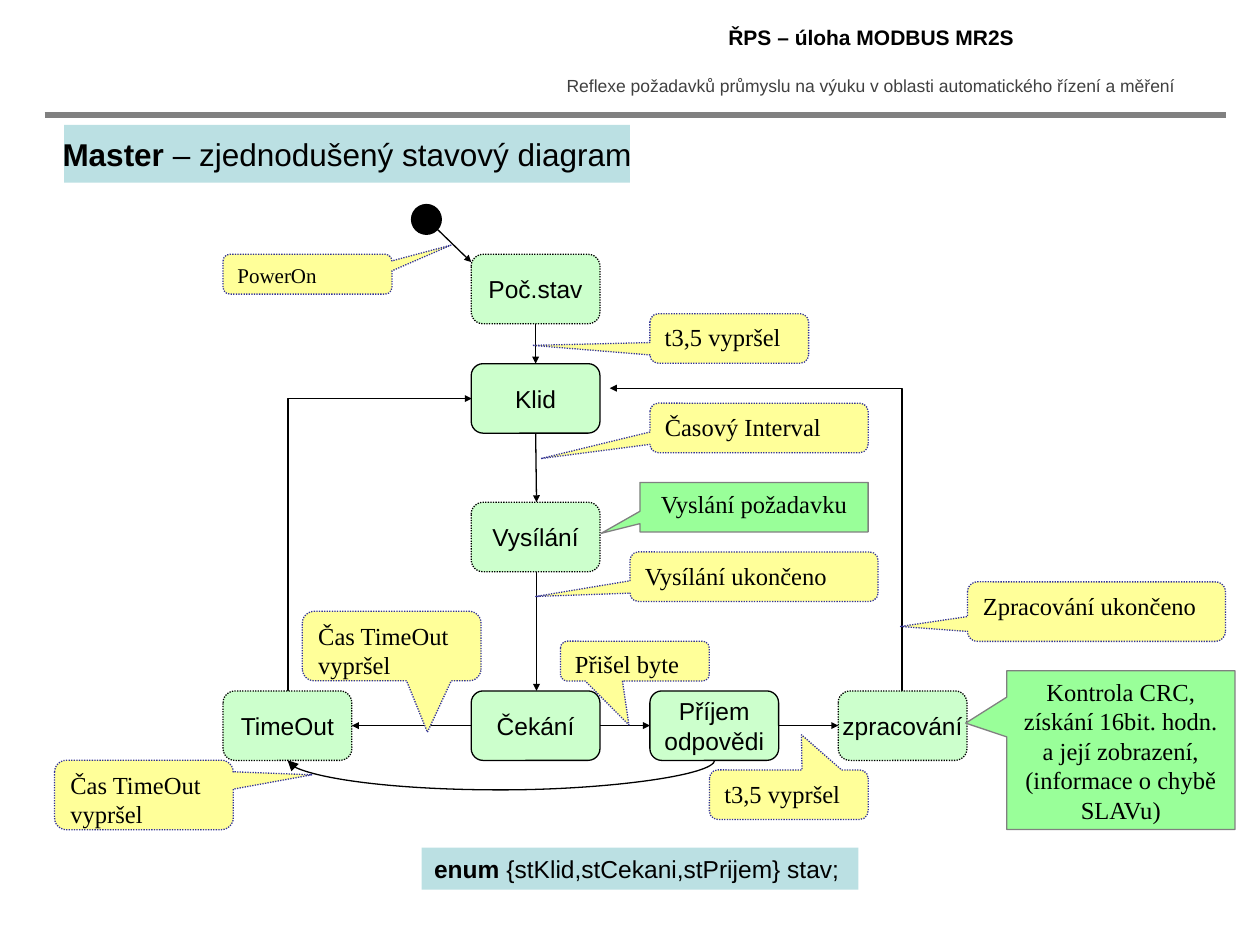
"""Builds the slide with the simplified state diagram of the MODBUS master."""
from dataclasses import dataclass
from typing import NamedTuple, Optional

from lxml.etree import SubElement
from pptx import Presentation
from pptx.dml.color import RGBColor
from pptx.enum.dml import MSO_LINE
from pptx.enum.shapes import MSO_CONNECTOR, MSO_SHAPE
from pptx.enum.text import MSO_ANCHOR, PP_ALIGN
from pptx.oxml.ns import qn
from pptx.util import Pt

BLACK = RGBColor(0, 0, 0)
DARK_GREY = RGBColor(0x40, 0x40, 0x40)
GREY = RGBColor(0x80, 0x80, 0x80)
NAVY = RGBColor(0x33, 0x33, 0x99)
PALE_GREEN = RGBColor(0xCC, 0xFF, 0xCC)
GREEN = RGBColor(0x99, 0xFF, 0x99)
YELLOW = RGBColor(0xFF, 0xFF, 0x99)
PALE_BLUE = RGBColor(0xBB, 0xE0, 0xE3)

SANS, SERIF = "Arial", "Times New Roman"
STATE_WIDTH, STATE_HEIGHT = 73.6, 39.7
CORNER = 0.17
LEFT_COLUMN, MAIN_COLUMN, REPLY_COLUMN, RESULT_COLUMN = 127.5, 269.3, 371.4, 479
START_ROW, IDLE_ROW, SEND_ROW, WAIT_ROW = 145.3, 207.8, 287, 394.8
AXIS = MAIN_COLUMN + STATE_WIDTH / 2
WAIT_AXIS = WAIT_ROW + STATE_HEIGHT / 2


class Box(NamedTuple):
    left: float
    top: float
    width: float
    height: float


class Line(NamedTuple):
    start: tuple[float, float]
    end: tuple[float, float]


@dataclass(frozen=True)
class Style:
    geometry: MSO_SHAPE
    fill: RGBColor
    outline: Optional[RGBColor]
    dashed: bool = False
    font: str = SANS
    size: float = 14
    align: PP_ALIGN = PP_ALIGN.CENTER
    anchor: MSO_ANCHOR = MSO_ANCHOR.MIDDLE
    wrap: bool = False


class State(NamedTuple):
    text: str
    left: float
    top: float
    style: Style


class Callout(NamedTuple):
    text: str
    box: Box
    tip: tuple[float, float]
    style: Style


STABLE = Style(MSO_SHAPE.ROUNDED_RECTANGLE, PALE_GREEN, BLACK)
PASSING = Style(MSO_SHAPE.ROUNDED_RECTANGLE, PALE_GREEN, BLACK, dashed=True)
EVENT = Style(MSO_SHAPE.ROUNDED_RECTANGULAR_CALLOUT, YELLOW, NAVY, True, SERIF, 14,
              PP_ALIGN.LEFT, MSO_ANCHOR.TOP, True)
POWER_EVENT = Style(MSO_SHAPE.ROUNDED_RECTANGULAR_CALLOUT, YELLOW, NAVY, True, SERIF, 12,
                    PP_ALIGN.LEFT, MSO_ANCHOR.TOP, True)
ACTION = Style(MSO_SHAPE.RECTANGULAR_CALLOUT, GREEN, GREY, False, SERIF, 14,
               PP_ALIGN.CENTER, MSO_ANCHOR.TOP, True)
HEADING = Style(MSO_SHAPE.RECTANGLE, PALE_BLUE, None, size=18)
CODE = Style(MSO_SHAPE.RECTANGLE, PALE_BLUE, None, align=PP_ALIGN.LEFT,
             anchor=MSO_ANCHOR.TOP, wrap=True)
INITIAL = Style(MSO_SHAPE.OVAL, BLACK, BLACK)

STATES = [
    State("Poč.stav", MAIN_COLUMN, START_ROW, PASSING),
    State("Klid", MAIN_COLUMN, IDLE_ROW, STABLE),
    State("Vysílání", MAIN_COLUMN, SEND_ROW, PASSING),
    State("TimeOut", LEFT_COLUMN, WAIT_ROW, PASSING),
    State("Čekání", MAIN_COLUMN, WAIT_ROW, STABLE),
    State("Příjem\nodpovědi", REPLY_COLUMN, WAIT_ROW, STABLE),
    State("zpracování", RESULT_COLUMN, WAIT_ROW, PASSING),
]
CALLOUTS = [
    Callout("PowerOn", Box(127.5, 145.3, 96.5, 22.8), (0.85, -0.73), POWER_EVENT),
    Callout("t3,5 vypršel", Box(371.4, 179.3, 90.7, 28.3), (-1.24, 0.14), EVENT),
    Callout("Časový Interval", Box(371.4, 230.4, 124.7, 28.3), (-1, 0.62), EVENT),
    Callout("Vyslání požadavku", Box(365.7, 275.7, 130.4, 28.3), (-0.67, 0.53), ACTION),
    Callout("Vysílání ukončeno", Box(360, 315.4, 141.8, 28.3), (-0.88, 0.4), EVENT),
    Callout("Čas TimeOut\nvypršel", Box(172.8, 349.3, 102.1, 39.7), (0.2, 1.24), EVENT),
    Callout("Přišel byte", Box(320.3, 366.4, 85, 22.8), (-0.04, 1.6), EVENT),
    Callout("Zpracování ukončeno", Box(552.9, 332.5, 147.4, 34), (-0.76, 0.25), EVENT),
    Callout("Čas TimeOut\nvypršel", Box(31.2, 434.4, 102.1, 39.7), (0.94, -0.29), EVENT),
    Callout("t3,5 vypršel", Box(405.4, 440, 90.7, 28.3), (0.08, -1.21), EVENT),
    Callout("Kontrola CRC,\nzískání 16bit. hodn.\na její zobrazení,\n(informace o chybě SLAVu)",
            Box(575.3, 383.3, 130.4, 90.7), (-0.68, -0.17), ACTION),
]
TRANSITIONS = [
    Line((247, 128.2), (MAIN_COLUMN, 149.8)),
    Line((AXIS, START_ROW + STATE_HEIGHT), (AXIS, IDLE_ROW)),
    Line((AXIS, IDLE_ROW + STATE_HEIGHT), (AXIS + 0.5, SEND_ROW)),
    Line((AXIS + 0.5, SEND_ROW + STATE_HEIGHT), (AXIS + 0.5, WAIT_ROW)),
    Line((MAIN_COLUMN, WAIT_AXIS), (LEFT_COLUMN + STATE_WIDTH, WAIT_AXIS)),
    Line((MAIN_COLUMN + STATE_WIDTH, WAIT_AXIS), (REPLY_COLUMN, WAIT_AXIS)),
    Line((REPLY_COLUMN + STATE_WIDTH, WAIT_AXIS), (RESULT_COLUMN, WAIT_AXIS)),
]


def write(frame, text: str, style: Style, colour: RGBColor = BLACK,
          bold_lead: str = "", bold: bool = False) -> None:
    """Fill a text frame, one paragraph a line, after an optional bold lead."""
    for name, value in {"word_wrap": style.wrap, "vertical_anchor": style.anchor}.items():
        setattr(frame, name, value)
    for index, words in enumerate(text.split("\n")):
        paragraph = frame.add_paragraph() if index else frame.paragraphs[0]
        paragraph.alignment = style.align
        parts = [(bold_lead, True)] if bold_lead and not index else []
        for part, heavy in parts + [(words, bold)]:
            run = paragraph.add_run()
            run.text = part
            font_format = {"name": style.font, "size": Pt(style.size), "bold": heavy}
            for name, value in font_format.items():
                setattr(run.font, name, value)
            run.font.color.rgb = colour


def draw_shape(slide, box: Box, style: Style, adjustments: tuple[float, ...] = ()):
    """Draw a preset shape in the given style."""
    shape = slide.shapes.add_shape(style.geometry, *map(Pt, box))
    shape.shadow.inherit = False
    for index, value in enumerate(adjustments):
        shape.adjustments[index] = value
    shape.fill.solid()
    shape.fill.fore_color.rgb = style.fill
    if style.outline is None:
        shape.line.fill.background()
    else:
        shape.line.color.rgb = style.outline
        shape.line.width = Pt(0.75)
        if style.dashed:
            shape.line.dash_style = MSO_LINE.ROUND_DOT
    return shape


def draw_line(slide, line: Line, colour: RGBColor = BLACK, width: float = 0.75,
              kind: MSO_CONNECTOR = MSO_CONNECTOR.STRAIGHT, arrow: Optional[str] = "sm"):
    """Draw a connector, with an arrowhead of the given size."""
    connector = slide.shapes.add_connector(kind, *map(Pt, line.start + line.end))
    connector.line.color.rgb = colour
    connector.line.width = Pt(width)
    properties = connector._element.spPr
    if arrow:
        SubElement(properties.find(qn("a:ln")), qn("a:tailEnd"),
                   {"type": "triangle", "w": arrow, "len": arrow})
    SubElement(properties, qn("a:effectLst"))
    return connector


def turn(connector, degrees: int, preset: str, bend: Optional[int] = None) -> None:
    """Rotate a connector and choose its preset path and bend."""
    properties = connector._element.spPr
    properties.find(qn("a:xfrm")).set("rot", str(degrees * 60000))
    geometry = properties.find(qn("a:prstGeom"))
    geometry.set("prst", preset)
    if bend is not None:
        SubElement(geometry.find(qn("a:avLst")), qn("a:gd"),
                   {"name": "adj1", "fmla": f"val {bend}"})


def main() -> None:
    """Build and save the slide."""
    deck = Presentation()
    deck.slide_width, deck.slide_height = Pt(720), Pt(540)
    slide = deck.slides.add_slide(deck.slide_layouts[6])

    for text, box, size, colour, bold in (
        ("Reflexe požadavků průmyslu na výuku v oblasti automatického řízení a měření",
         Box(309.6, 39.6, 375.5, 19.4), 10, DARK_GREY, False),
        ("ŘPS – úloha MODBUS MR2S", Box(309.6, 10.3, 376.6, 22.3), 12, BLACK, True),
    ):
        header = slide.shapes.add_textbox(*map(Pt, box))
        header_style = Style(MSO_SHAPE.RECTANGLE, PALE_BLUE, None, size=size,
                             anchor=MSO_ANCHOR.TOP, wrap=True)
        write(header.text_frame, text, header_style, colour, bold=bold)
    draw_line(slide, Line((25.5, 65.7), (700.3, 65.7)), GREY, 3, arrow=None)

    for box, style, lead, text in (
        (Box(36.7, 71.4, 323.3, 33), HEADING, "Master", " – zjednodušený stavový diagram"),
        (Box(241, 484.4, 249.5, 24), CODE, "enum ", "{stKlid,stCekani,stPrijem} stav;"),
    ):
        write(draw_shape(slide, box, style).text_frame, text, style, bold_lead=lead)

    draw_shape(slide, Box(235.2, 116.9, 17, 17), INITIAL)
    for transition in TRANSITIONS:
        draw_line(slide, transition)
    for path, degrees in ((Line((518.4, 224.7), (345.6, 391.7)), 90),
                          (Line((133.6, 258.8), (300.6, 363.7)), 270)):
        turn(draw_line(slide, path, kind=MSO_CONNECTOR.ELBOW), degrees, "bentConnector2")
    timeout_path = Line((286.3, 312.4), (286.42, 556.5))
    turn(draw_line(slide, timeout_path, kind=MSO_CONNECTOR.CURVE, arrow="med"),
         90, "curvedConnector3", 15000000)

    for state in STATES:
        box = Box(state.left, state.top, STATE_WIDTH, STATE_HEIGHT)
        shape = draw_shape(slide, box, state.style, (CORNER,))
        write(shape.text_frame, state.text, state.style)
    for callout in CALLOUTS:
        rounded = callout.style.geometry == MSO_SHAPE.ROUNDED_RECTANGULAR_CALLOUT
        adjustments = callout.tip + ((CORNER,) if rounded else ())
        shape = draw_shape(slide, callout.box, callout.style, adjustments)
        write(shape.text_frame, callout.text, callout.style)
    deck.save("out.pptx")


if __name__ == "__main__":
    main()
